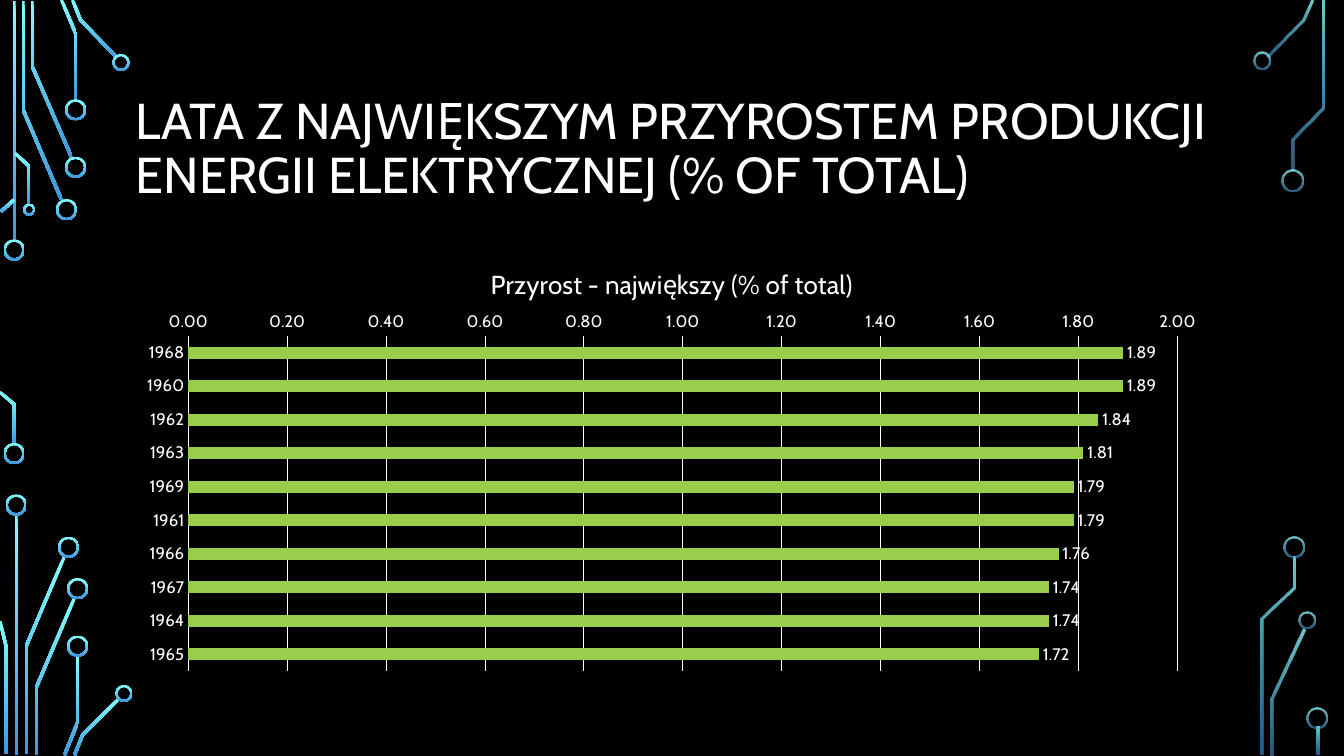
import math
from dataclasses import dataclass

from lxml import etree
from pptx import Presentation
from pptx.chart.data import CategoryChartData
from pptx.dml.color import RGBColor
from pptx.enum.chart import XL_CHART_TYPE, XL_LABEL_POSITION, XL_TICK_MARK
from pptx.enum.shapes import MSO_SHAPE
from pptx.enum.text import MSO_ANCHOR
from pptx.oxml.ns import qn
from pptx.util import Inches, Pt

BAR = XL_CHART_TYPE.BAR_CLUSTERED
OUTSIDE_END = XL_LABEL_POSITION.OUTSIDE_END
NO_TICK = XL_TICK_MARK.NONE
DONUT = MSO_SHAPE.DONUT
MIDDLE = MSO_ANCHOR.MIDDLE

FONT = "Cabin"
WHITE, BLACK, GREEN = "FFFFFF", "000000", "9ACD4C"
GLOW = ("82FFFF", "3D97DE")
TRACE_WIDTH = 0.03
RING_WIDTH = 0.02
LABEL_SIZE = 11.9

Point = tuple[float, float]


@dataclass(frozen=True)
class Ring:
    x: float
    y: float
    size: float = 0.21


@dataclass(frozen=True)
class Circuit:
    traces: list[list[Point]]
    rings: list[Ring]
    opacity: tuple[int, int] = (100, 100)


LEFT = Circuit(
    traces=[
        [(0.14, 0.01), (0.14, 2.4)],
        [(0.23, 0.01), (0.23, 1.09), (0.61, 1.98)],
        [(0.32, 0.01), (0.32, 0.66), (0.71, 1.56)],
        [(0.61, 0), (0.75, 0.33), (0.75, 1)],
        [(0.72, 0), (0.8, 0.2), (1.16, 0.57)],
        [(0.01, 2.1), (0.14, 1.98)],
        [(0, 3.89), (0.14, 4.01), (0.14, 4.41)],
        [(0.15, 1.52), (0.29, 1.65), (0.29, 2.03)],
        [(0.16, 5.1), (0.16, 7.49)],
        [(0.26, 7.48), (0.26, 6.41), (0.64, 5.52)],
        [(0.06, 7.48), (0.06, 6.41), (0, 6.16)],
        [(0.36, 7.49), (0.36, 6.82), (0.74, 5.93)],
        [(0.64, 7.49), (0.77, 7.17), (0.77, 6.5)],
        [(0.74, 7.49), (0.82, 7.29), (1.18, 6.93)],
    ],
    rings=[
        Ring(0.14, 2.48), Ring(0.14, 4.5), Ring(0.66, 2.08), Ring(0.75, 1.66),
        Ring(0.75, 1.09), Ring(1.2, 0.62, 0.17), Ring(0.29, 2.08, 0.12),
        Ring(0.16, 5.01), Ring(0.68, 5.43), Ring(0.77, 5.84),
        Ring(0.77, 6.41), Ring(1.23, 6.88, 0.17),
    ],
)
RIGHT = Circuit(
    traces=[
        [(12.57, 0.56), (12.92, 0.2), (13.01, 0)],
        [(12.62, 7.49), (12.62, 6.93), (12.93, 6.24)],
        [(13.12, 0.01), (13.12, 1.07), (12.82, 1.38), (12.82, 1.69)],
        [(12.83, 5.52), (12.83, 5.83), (12.52, 6.14), (12.52, 7.49)],
        [(13.07, 7.21), (13.07, 7.49)],
    ],
    rings=[
        Ring(12.52, 0.6, 0.17), Ring(12.82, 1.79), Ring(12.96, 6.15, 0.17),
        Ring(12.83, 5.43), Ring(13.06, 7.12),
    ],
    opacity=(80, 60),
)

GROWTH = {
    "1968": 1.89, "1960": 1.89, "1962": 1.84, "1963": 1.81, "1969": 1.79,
    "1961": 1.79, "1966": 1.76, "1967": 1.74, "1964": 1.74, "1965": 1.72,
}
PLOT_AREA = {"x": 0.057, "y": 0.204, "w": 0.906, "h": 0.777}


def rgb(value: str) -> RGBColor:
    return RGBColor.from_string(value)


def set_font(font, size: float) -> None:
    font.name = FONT
    font.size = Pt(size)
    font.bold = False
    font.color.rgb = rgb(WHITE)


def paint_glow(sp, opacity: tuple[int, int]) -> None:
    sp.shadow.inherit = False
    sp.line.fill.background()
    sp.fill.gradient()
    sp.fill.gradient_angle = 270
    for stop, color in zip(sp.fill.gradient_stops, GLOW):
        stop.color.rgb = rgb(color)
    for color, percent in zip(sp.element.spPr.iter(qn("a:srgbClr")), opacity):
        if percent < 100:
            etree.SubElement(color, qn("a:alpha"), val=str(percent * 1000))


def outline(trace: list[Point]) -> list[Point]:
    normals = []
    for (x1, y1), (x2, y2) in zip(trace, trace[1:]):
        length = math.hypot(x2 - x1, y2 - y1)
        normals.append(((y1 - y2) / length, (x2 - x1) / length))
    one_side, other_side = [], []
    for (x, y), (ax, ay), (bx, by) in zip(
        trace, normals[:1] + normals, normals + normals[-1:]
    ):
        reach = TRACE_WIDTH / 2 / (1 + ax * bx + ay * by)
        dx, dy = (ax + bx) * reach, (ay + by) * reach
        one_side.append((x + dx, y + dy))
        other_side.append((x - dx, y - dy))
    return one_side + other_side[::-1]


def draw_circuit(s, circuit: Circuit) -> None:
    for trace in circuit.traces:
        points = [(Inches(x), Inches(y)) for x, y in outline(trace)]
        builder = s.shapes.build_freeform(*points[0])
        builder.add_line_segments(points[1:], close=True)
        paint_glow(builder.convert_to_shape(), circuit.opacity)
    for ring in circuit.rings:
        size = Inches(ring.size)
        left, top = Inches(ring.x) - size // 2, Inches(ring.y) - size // 2
        sp = s.shapes.add_shape(DONUT, left, top, size, size)
        sp.adjustments[0] = RING_WIDTH / ring.size
        paint_glow(sp, circuit.opacity)


def add_title(s) -> None:
    sp = s.shapes.add_textbox(Inches(1.25), Inches(0.68), Inches(10.83), Inches(1.62))
    tf = sp.text_frame
    tf.word_wrap = True
    tf.vertical_anchor = MIDDLE
    p = tf.paragraphs[0]
    p.text = "LATA Z NAJWIĘKSZYM PRZYROSTEM PRODUKCJI ENERGII ELEKTRYCZNEJ (% OF TOTAL)"
    p.line_spacing = 0.9
    set_font(p.font, 36)


def place_plot(chart) -> None:
    plot_area = chart.plots[0]._element.getparent()
    for old in plot_area.findall(qn("c:layout")):
        plot_area.remove(old)
    layout = etree.Element(qn("c:layout"))
    plot_area.insert(0, layout)
    manual = etree.SubElement(layout, qn("c:manualLayout"))
    settings = {"layoutTarget": "inner", "xMode": "edge", "yMode": "edge", **PLOT_AREA}
    for tag, value in settings.items():
        etree.SubElement(manual, qn(f"c:{tag}"), val=str(value))


def add_growth_chart(s) -> None:
    data = CategoryChartData(number_format="0.00")
    data.categories = list(GROWTH)
    data.add_series("Series 1", list(GROWTH.values()))
    chart = s.shapes.add_chart(
        BAR, Inches(1.25), Inches(2.46), Inches(10.83), Inches(4.28), data
    ).chart
    set_font(chart.font, 10)
    chart.has_legend = False
    p = chart.chart_title.text_frame.paragraphs[0]
    p.text = "Przyrost - największy (% of total)"
    set_font(p.font, 18.6)

    years, values = chart.category_axis, chart.value_axis
    for axis in (years, values):
        axis.major_tick_mark = axis.minor_tick_mark = NO_TICK
        set_font(axis.tick_labels.font, LABEL_SIZE)
    years.reverse_order = True
    values.minimum_scale, values.maximum_scale, values.major_unit = 0, 2, 0.2
    values.tick_labels.number_format = "0.00"
    values.tick_labels.number_format_is_linked = False
    values.format.line.fill.background()
    for line in (years.format.line, values.major_gridlines.format.line):
        line.color.rgb = rgb(WHITE)
        line.width = Pt(0.75)

    plot = chart.plots[0]
    plot.gap_width = 182
    plot.vary_by_categories = False
    fill = plot.series[0].format.fill
    fill.solid()
    fill.fore_color.rgb = rgb(GREEN)
    labels = plot.series[0].data_labels
    labels.show_value = True
    labels.position = OUTSIDE_END
    set_font(labels.font, LABEL_SIZE)
    place_plot(chart)


def main() -> None:
    prs = Presentation()
    prs.slide_width, prs.slide_height = Inches(13.33), Inches(7.5)
    s = prs.slides.add_slide(prs.slide_layouts[6])
    s.background.fill.solid()
    s.background.fill.fore_color.rgb = rgb(BLACK)
    for circuit in (LEFT, RIGHT):
        draw_circuit(s, circuit)
    add_title(s)
    add_growth_chart(s)
    prs.save("out.pptx")


if __name__ == "__main__":
    main()
